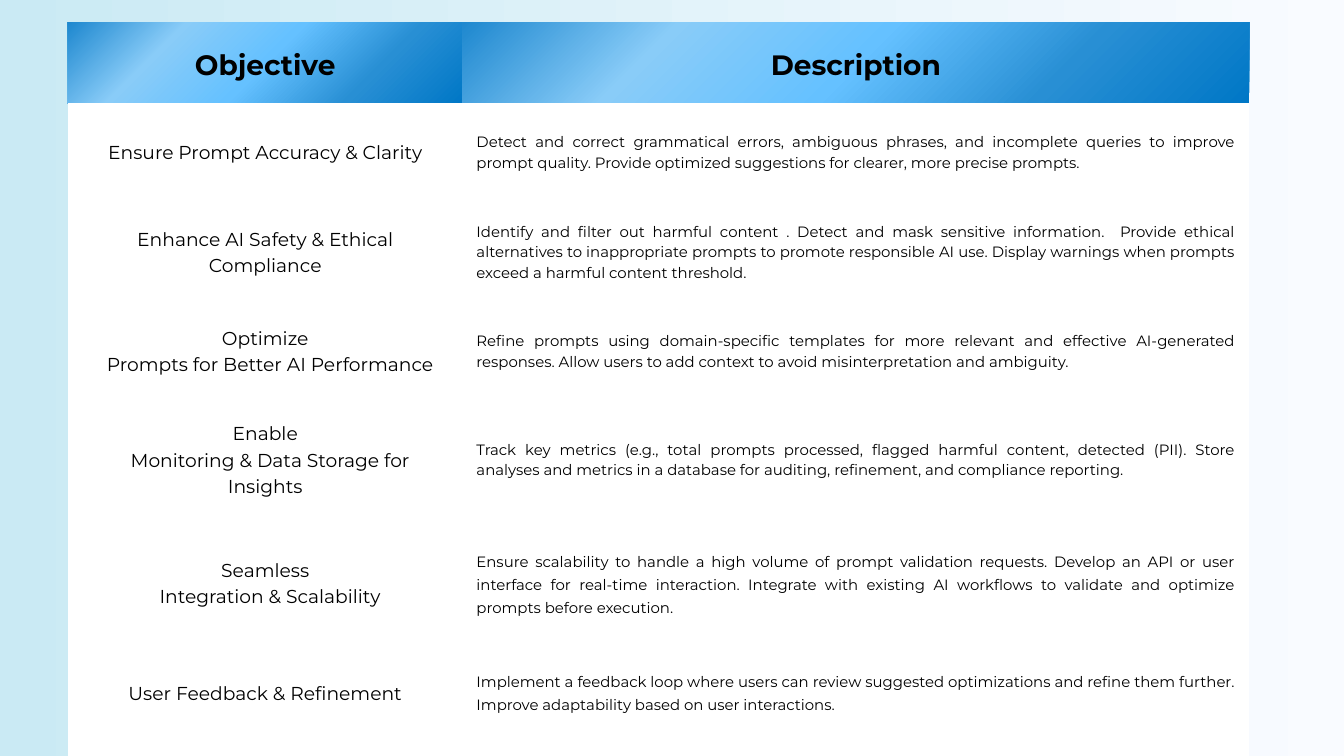
import pptx
import pptx.dml.color
import pptx.enum.text
import pptx.oxml
import pptx.oxml.ns
import pptx.util
from dataclasses import dataclass

Cm = pptx.util.Cm
Pt = pptx.util.Pt
ALIGN = pptx.enum.text.PP_ALIGN
NO_GRID_STYLE = "{2D5ABB26-0587-4C30-8999-92F81FD0307C}"


@dataclass(frozen=True)
class Theme:
    font: str = "Montserrat"
    ink: str = "000000"
    paper: str = "FFFFFF"
    backdrop: tuple = ("CAEAF4", "F9FBFF")
    header_stops: tuple = ("1E88CF", "89CCF8", "65C1FF", "288FD4", "0077C6")
    header_size: int = 30
    objective_size: int = 20
    description_size: int = 16
    inset: float = 0.53
    second_line_indent: float = 0.37


class SlideBuilder:
    def __init__(self, deck, theme):
        self.theme = theme
        self.slide = deck.slides.add_slide(deck.slide_layouts[6])

    def color(self, value):
        return pptx.dml.color.RGBColor.from_string(value)

    def background(self):
        fill = self.slide.background.fill
        fill.gradient()
        fill.gradient_angle = 0
        for stop, value in zip(fill.gradient_stops, self.theme.backdrop):
            stop.color.rgb = self.color(value)

    def table(self, left, top, widths, heights):
        frame = self.slide.shapes.add_table(
            len(heights), len(widths), Cm(left), Cm(top), Cm(sum(widths)), Cm(sum(heights)))
        table = frame.table
        table.horz_banding = False
        style = table._tbl.tblPr.find(pptx.oxml.ns.qn("a:tableStyleId"))
        style.text = NO_GRID_STYLE
        for column, width in zip(table.columns, widths):
            column.width = Cm(width)
        for row, height in zip(table.rows, heights):
            row.height = Cm(height)
        return table

    def solid(self, cell):
        cell.fill.solid()
        cell.fill.fore_color.rgb = self.color(self.theme.paper)

    def radial(self, cell):
        """Fill a cell with a gradient that spreads from its top left corner."""
        colors = self.theme.header_stops
        step = 100000 // (len(colors) - 1)
        stops = "".join(
            f'<a:gs pos="{index * step}"><a:srgbClr val="{value}"/></a:gs>'
            for index, value in enumerate(colors))
        cell._tc.get_or_add_tcPr().append(pptx.oxml.parse_xml(
            f'<a:gradFill {pptx.oxml.ns.nsdecls("a")} rotWithShape="1"><a:gsLst>{stops}</a:gsLst>'
            '<a:path path="circle"><a:fillToRect r="100000" b="100000"/></a:path></a:gradFill>'))

    def margins(self, cell, value):
        for side in ("left", "top", "right", "bottom"):
            setattr(cell, f"margin_{side}", Cm(value))

    def text(self, cell, lines, align, spacing, size, bold=False):
        self.margins(cell, self.theme.inset)
        cell.vertical_anchor = pptx.enum.text.MSO_ANCHOR.MIDDLE
        font_format = {"name": self.theme.font, "size": Pt(size), "bold": bold}
        for index, line in enumerate(lines):
            frame = cell.text_frame
            para = frame.add_paragraph() if index else frame.paragraphs[0]
            para.alignment = align
            para.line_spacing = Pt(spacing)
            if index:
                para._p.get_or_add_pPr().set("indent", str(Cm(self.theme.second_line_indent)))
            span = para.add_run()
            span.text = line
            for name, value in font_format.items():
                setattr(span.font, name, value)
            span.font.color.rgb = self.color(self.theme.ink)

    def blank(self, cell):
        """Keep an empty cell from growing taller than its row."""
        self.margins(cell, 0)
        cell.text_frame.paragraphs[0].font.size = Pt(8)


# Row height, objective lines, description, description line spacing
OBJECTIVES = [
    (3.63, ["Ensure Prompt Accuracy & Clarity"],
     "Detect and correct grammatical errors, ambiguous phrases, and incomplete queries to "
     "improve prompt quality. Provide optimized suggestions for clearer, more precise prompts.",
     22.4),
    (3.91, ["Enhance AI Safety & Ethical Compliance"],
     "Identify and filter out harmful content . Detect and mask sensitive information.  Provide "
     "ethical alternatives to inappropriate prompts to promote responsible AI use. Display "
     "warnings when prompts exceed a harmful content threshold.", 22.4),
    (3.56, ["Optimize", "Prompts for Better AI Performance"],
     "Refine prompts using domain-specific templates for more relevant and effective "
     "AI-generated responses. Allow users to add context to avoid misinterpretation and "
     "ambiguity.", 22.4),
    (4.65, ["Enable", "Monitoring & Data Storage for Insights"],
     "Track key metrics (e.g., total prompts processed, flagged harmful content, detected "
     "(PII). Store analyses and metrics in a database for auditing, refinement, and compliance "
     "reporting.", 22.4),
    (4.7, ["Seamless", "Integration & Scalability"],
     "Ensure scalability to handle a high volume of prompt validation requests. Develop an API "
     "or user interface for real-time interaction. Integrate with existing AI workflows to "
     "validate and optimize prompts before execution.", 24.5),
    (3.56, ["User Feedback & Refinement"],
     "Implement a feedback loop where users can review suggested optimizations and refine them "
     "further. Improve adaptability based on user interactions.", 24.5),
]
HEADER_HEIGHT = 3.07
FOOT_HEIGHT = 0.65


def main():
    deck = pptx.Presentation()
    deck.slide_width, deck.slide_height = Cm(50.8), Cm(28.57)
    theme = Theme()
    page = SlideBuilder(deck, theme)
    page.background()

    heights = [HEADER_HEIGHT, *(entry[0] for entry in OBJECTIVES), FOOT_HEIGHT]
    table = page.table(2.57, 0.84, [14.91, 29.74], heights)

    # Header row
    for column, heading in enumerate(["Objective", "Description"]):
        cell = table.cell(0, column)
        page.text(cell, [heading], ALIGN.CENTER, 42, theme.header_size, bold=True)
        page.radial(cell)

    # Objectives with their descriptions
    for row, (_, objective, description, spacing) in enumerate(OBJECTIVES, start=1):
        left, right = table.cell(row, 0), table.cell(row, 1)
        page.text(left, objective, ALIGN.CENTER, 28, theme.objective_size)
        page.text(right, [description], ALIGN.JUSTIFY, spacing, theme.description_size)
        page.solid(left)
        page.solid(right)

    # White foot row down to the slide edge
    for column in range(2):
        cell = table.cell(len(heights) - 1, column)
        page.blank(cell)
        page.solid(cell)

    deck.save("out.pptx")


if __name__ == "__main__":
    main()
